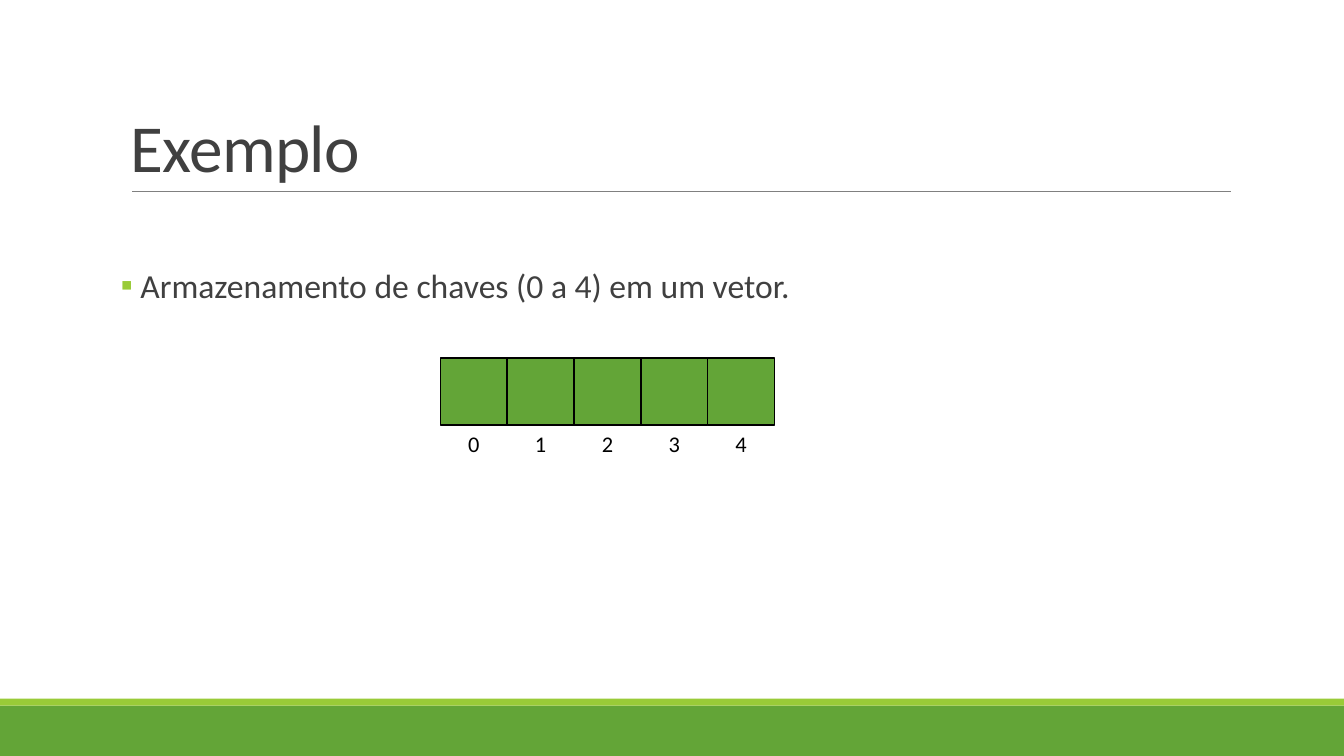
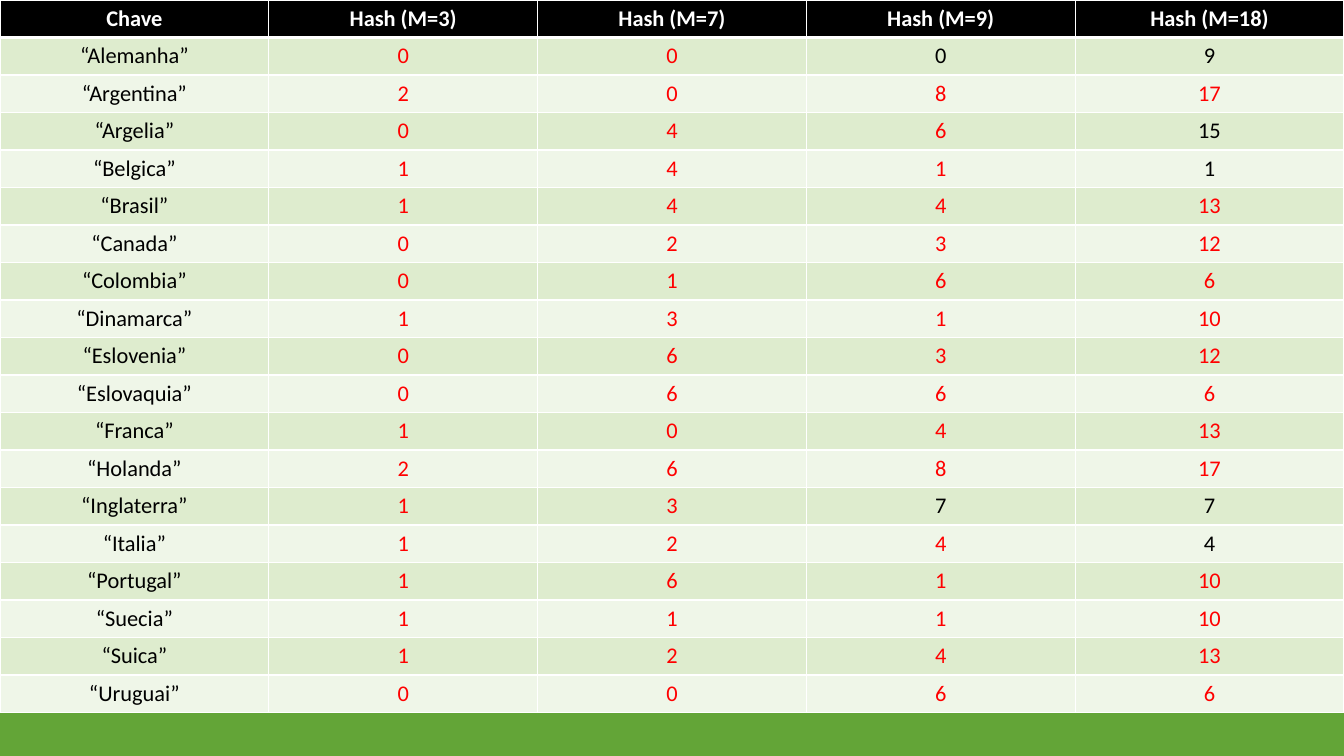
import collections
import pptx
import pptx.dml.color
import pptx.enum.shapes
import pptx.enum.text
import pptx.oxml
import pptx.oxml.ns
import pptx.util

COLORS = {
    "green": "63A537", "lime": "99CB38", "grey": "404040", "rule": "808080",
    "black": "000000", "white": "FFFFFF", "red": "FF0000",
    "odd": "DEECCE", "even": "EFF6E8",
}
HEADER = ["Chave", "Hash (M=3)", "Hash (M=7)", "Hash (M=9)", "Hash (M=18)"]
HASHES = [
    ("Alemanha", 0, 0, 0, 9),
    ("Argentina", 2, 0, 8, 17),
    ("Argelia", 0, 4, 6, 15),
    ("Belgica", 1, 4, 1, 1),
    ("Brasil", 1, 4, 4, 13),
    ("Canada", 0, 2, 3, 12),
    ("Colombia", 0, 1, 6, 6),
    ("Dinamarca", 1, 3, 1, 10),
    ("Eslovenia", 0, 6, 3, 12),
    ("Eslovaquia", 0, 6, 6, 6),
    ("Franca", 1, 0, 4, 13),
    ("Holanda", 2, 6, 8, 17),
    ("Inglaterra", 1, 3, 7, 7),
    ("Italia", 1, 2, 4, 4),
    ("Portugal", 1, 6, 1, 10),
    ("Suecia", 1, 1, 1, 10),
    ("Suica", 1, 2, 4, 13),
    ("Uruguai", 0, 0, 6, 6),
]


def rgb(name):
    return pptx.dml.color.RGBColor.from_string(COLORS[name])


def add_xml(parent, xml, index=None):
    head, sep, tail = xml.partition(">")
    if head.endswith("/"):
        head, sep = head[:-1], "/>"
    node = pptx.oxml.parse_xml(f"{head} {pptx.oxml.ns.nsdecls('a')}{sep}{tail}")
    parent.insert(len(parent) if index is None else index, node)


class Deck:
    font = "Calibri"

    def __init__(self):
        self.prs = pptx.Presentation()
        self.prs.slide_width = pptx.util.Inches(13.33)
        self.prs.slide_height = pptx.util.Inches(7.5)
        self.s = None

    def x(self, percent):
        return round(self.prs.slide_width * percent / 100)

    def y(self, percent):
        return round(self.prs.slide_height * percent / 100)

    def box(self, x, y, w, h):
        return self.x(x), self.y(y), self.x(w), self.y(h)

    def slide(self):
        self.s = self.prs.slides.add_slide(self.prs.slide_layouts[6])
        self.rect(0, 93.33, 100, 6.67, "green")
        self.rect(0, 92.4, 100, 0.93, "lime")

    def rect(self, x, y, w, h, fill, line=None):
        kind = pptx.enum.shapes.MSO_SHAPE.RECTANGLE
        sp = self.s.shapes.add_shape(kind, *self.box(x, y, w, h))
        sp.shadow.inherit = False
        sp.fill.solid()
        sp.fill.fore_color.rgb = rgb(fill)
        if line:
            sp.line.color.rgb = rgb(line)
            sp.line.width = pptx.util.Pt(1.25)
        else:
            sp.line.fill.background()

    def set_text(self, tf, text, size, color, bold=False, center=False):
        tf.text = text
        p = tf.paragraphs[0]
        if center:
            p.alignment = pptx.enum.text.PP_ALIGN.CENTER
        r = p.runs[0]
        r.font.name = self.font
        r.font.size = pptx.util.Pt(size)
        r.font.bold = bold
        r.font.color.rgb = rgb(color)

    def text(self, x, y, w, h, text, size, color, center=False):
        tf = self.s.shapes.add_textbox(*self.box(x, y, w, h)).text_frame
        tf.word_wrap = True
        self.set_text(tf, text, size, color, center=center)
        return tf

    def title(self, text):
        tf = self.text(9, 4.13, 82.5, 21.2, text, 48, "grey")
        tf.vertical_anchor = pptx.enum.text.MSO_ANCHOR.BOTTOM
        p = tf.paragraphs[0]
        p.line_spacing = 0.85
        p.runs[0].font._element.set("spc", "-50")
        self.rule(9.83, 91.6, 25.33)

    def rule(self, left, right, y):
        kind = pptx.enum.shapes.MSO_CONNECTOR.STRAIGHT
        line = self.s.shapes.add_connector(
            kind, self.x(left), self.y(y), self.x(right), self.y(y))
        line.line.color.rgb = rgb("rule")
        line.line.width = pptx.util.Pt(0.5)
        add_xml(line._element.spPr, "<a:effectLst/>")

    def bullet(self, y, text):
        tf = self.text(9, y, 82.5, 8, text, 24, "grey")
        tf.margin_left = tf.margin_right = 0
        pPr = tf.paragraphs[0]._p.get_or_add_pPr()
        indent = pptx.util.Inches(0.1)
        pPr.set("marL", str(indent))
        pPr.set("indent", str(-indent))
        add_xml(pPr, f'<a:buClr><a:srgbClr val="{COLORS["lime"]}"/></a:buClr>')
        add_xml(pPr, f'<a:buFont typeface="{self.font}"/>')
        add_xml(pPr, '<a:buChar char="▪"/>')

    def array(self, x, y, side, count):
        w, h = side, side * self.prs.slide_width / self.prs.slide_height
        for i in range(count):
            self.rect(x + i * w, y, w, h, "green", "black")
            self.text(x + i * w, y + h, w, 4.93, str(i), 16, "black", True)

    def cell(self, cell, text, fill, color, header=False):
        cell.fill.solid()
        cell.fill.fore_color.rgb = rgb(fill)
        self.set_text(cell.text_frame, text, 16, color, header, True)
        tcPr = cell._tc.get_or_add_tcPr()
        for i, side in enumerate("LRTB"):
            width = pptx.util.Pt(3 if header and side == "B" else 1)
            add_xml(tcPr, f'<a:ln{side} w="{width}"><a:solidFill><a:srgbClr '
                    f'val="{COLORS["white"]}"/></a:solidFill></a:ln{side}>', i)

    def hash_table(self, header, rows, height):
        table = self.s.shapes.add_table(
            len(rows) + 1, len(header), *self.box(0, 0, 100, height)).table
        for row in table.rows:
            row.height = self.y(height / (len(rows) + 1))
        for j, name in enumerate(header):
            self.cell(table.cell(0, j), name, "black", "white", True)
            uses = collections.Counter(row[j] for row in rows)
            for i, row in enumerate(rows, 1):
                text = str(row[j]) if j else f"“{row[j]}”"
                color = "red" if uses[row[j]] > 1 else "black"
                self.cell(table.cell(i, j), text, "odd" if i % 2 else "even", color)


def main():
    deck = Deck()
    deck.slide()
    deck.title("Exemplo")
    deck.bullet(34.4, " Armazenamento de chaves (0 a 4) em um vetor.")
    deck.array(32.77, 47.4, 4.97, 5)

    deck.slide()
    deck.hash_table(HEADER, HASHES, 94.27)
    deck.prs.save("out.pptx")


if __name__ == "__main__":
    main()
